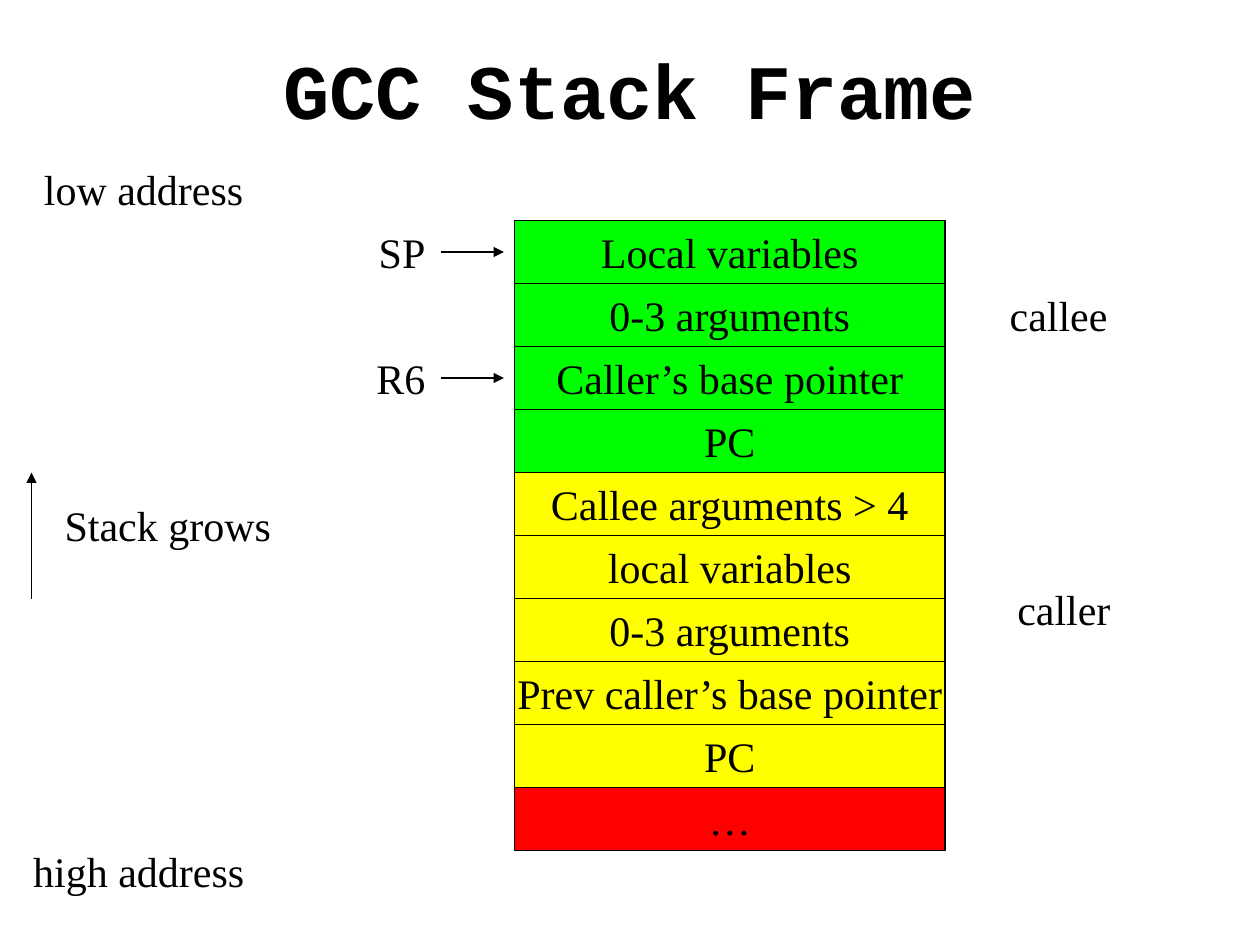
from lxml import etree
from pptx import Presentation
from pptx import util as u
from pptx.dml.color import RGBColor
from pptx.enum import shapes, text
from pptx.oxml import ns

COLORS = {"ink": "000000", "callee": "00FF00", "caller": "FFFF00", "older": "FF0000"}
BODY_FONT, TITLE_FONT = "Times New Roman", "Courier New"
UNIT = u.Inches(0.5)  # the slide is a grid of 20 columns by 15 rows
COLUMNS, ROWS = 20, 15

FRAMES = [
    ("callee", ["Local variables", "0-3 arguments", "Caller’s base pointer", "PC"]),
    ("caller", ["Callee arguments > 4", "local variables", "0-3 arguments",
                "Prev caller’s base pointer", "PC"]),
    ("older", ["…"]),
]
STACK_BOX = (8.17, 3.5, 6.83, 10)
REGISTERS = [("SP", 0), ("R6", 2)]  # name, stack slot it points to
NOTES = [  # wording, then box in grid units
    ("low address", (0.5, 2.5, 3.7, 1)),
    ("Stack grows", (0.83, 7.83, 3.8, 1)),
    ("high address", (0.33, 13.33, 3.9, 1)),
    ("callee", (15.83, 4.5, 2.1, 1)),
    ("caller", (15.95, 9.17, 2.1, 1)),
]


def grid(*lengths):
    return [round(length * UNIT) for length in lengths]


def color(name):
    return RGBColor.from_string(COLORS[name])


def write(frame, wording, align, anchor, font=BODY_FONT, size=24, bold=False):
    frame.auto_size = text.MSO_AUTO_SIZE.NONE
    frame.vertical_anchor = anchor
    paragraph = frame.paragraphs[0]
    paragraph.alignment = align
    run = paragraph.add_run()
    run.text = wording
    run.font.name, run.font.size, run.font.bold = font, u.Pt(size), bold
    run.font.color.rgb = color("ink")


def add_title(slide, box):
    title = slide.shapes.title
    title.left, title.top, title.width, title.height = grid(*box)
    write(title.text_frame, "GCC Stack Frame", text.PP_ALIGN.CENTER,
          text.MSO_ANCHOR.MIDDLE, TITLE_FONT, 44, True)


def add_label(slide, wording, box, align=text.PP_ALIGN.LEFT):
    label = slide.shapes.add_textbox(*grid(*box))
    label.text_frame.word_wrap = True
    write(label.text_frame, wording, align, text.MSO_ANCHOR.TOP)


def add_arrow(slide, start, end):
    arrow = slide.shapes.add_connector(shapes.MSO_CONNECTOR.STRAIGHT, *grid(*start, *end))
    arrow.line.color.rgb = color("ink")
    arrow.line.width = u.Pt(0.75)
    etree.SubElement(arrow.line._get_or_add_ln(), ns.qn("a:tailEnd"), type="triangle")
    etree.SubElement(arrow._element.spPr, ns.qn("a:effectLst"))


def add_stack(slide, box):
    left, top, width, height = box
    slots = [(owner, wording) for owner, wordings in FRAMES for wording in wordings]
    slot_height = height / len(slots)
    for index, (owner, wording) in enumerate(slots):
        slot = slide.shapes.add_shape(
            shapes.MSO_SHAPE.RECTANGLE,
            *grid(left, top + index * slot_height, width, slot_height))
        slot.shadow.inherit = False
        slot.fill.solid()
        slot.fill.fore_color.rgb = color(owner)
        slot.line.color.rgb = color("ink")
        slot.line.width = u.Pt(0.75)
        slot.text_frame.word_wrap = False
        write(slot.text_frame, wording, text.PP_ALIGN.CENTER, text.MSO_ANCHOR.MIDDLE)


def add_registers(slide, box):
    """Name each register and point an arrow at its slot on the right."""
    left, top, width, _ = box
    arrow_length = 1
    name_width = width - arrow_length
    for name, slot in REGISTERS:
        row = top + slot
        add_label(slide, name, (left, row, name_width - 0.05, 1), text.PP_ALIGN.RIGHT)
        add_arrow(slide, (left + name_width, row + 0.5), (left + width, row + 0.5))


def main():
    deck = Presentation()
    deck.slide_width, deck.slide_height = grid(COLUMNS, ROWS)
    slide = deck.slides.add_slide(deck.slide_layouts.get_by_name("Title Only"))
    add_title(slide, (1.5, 0.16, 17, 2.5))
    add_stack(slide, STACK_BOX)
    add_registers(slide, (5.6, 3.5, 2.4, 3))
    for wording, box in NOTES:
        add_label(slide, wording, box)
    add_arrow(slide, (0.5, 9.5), (0.5, 7.5))
    deck.save("out.pptx")


if __name__ == "__main__":
    main()
